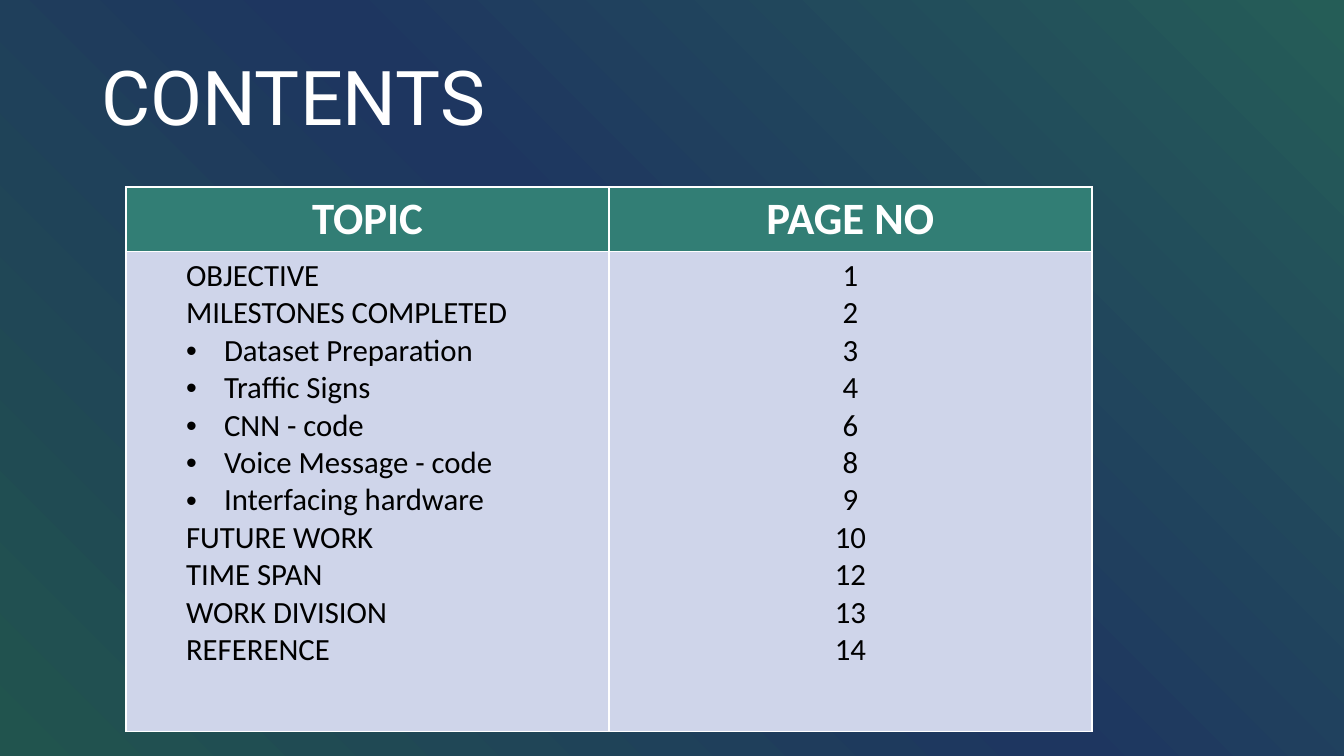
from copy import deepcopy

from lxml.etree import SubElement
from pptx import Presentation
from pptx.dml.color import RGBColor
from pptx.enum.text import MSO_ANCHOR, MSO_AUTO_SIZE, PP_ALIGN
from pptx.oxml.ns import qn
from pptx.util import Emu, Pt

SLIDE_WIDTH, SLIDE_HEIGHT = 1344, 756
EMU_PER_PX = 12192000 / SLIDE_WIDTH

WHITE, BLACK = "FFFFFF", "000000"
HEADER_FILL, BODY_FILL = "327E75", "CFD5EA"
BACKGROUND_STOPS = [(0, "21544E"), (0.51, "1E3660"), (1, "255D57")]

HEADERS = ["TOPIC", "PAGE NO"]
# Topic, page number, bulleted
CONTENTS = [
    ("OBJECTIVE", 1, False),
    ("MILESTONES COMPLETED", 2, False),
    ("Dataset Preparation", 3, True),
    ("Traffic Signs", 4, True),
    ("CNN - code", 6, True),
    ("Voice Message - code", 8, True),
    ("Interfacing hardware", 9, True),
    ("FUTURE WORK", 10, False),
    ("TIME SPAN", 12, False),
    ("WORK DIVISION", 13, False),
    ("REFERENCE", 14, False),
]


def px(length):
    return Emu(round(length * EMU_PER_PX))


def color(hex_string):
    return RGBColor.from_string(hex_string)


def format_paragraph(paragraph, name, size, hex_string, alignment, bold=False):
    font = paragraph.font
    font.name, font.size, font.bold = name, Pt(size), bold
    font.color.rgb = color(hex_string)
    paragraph.alignment = alignment


def set_indent(paragraph, bulleted):
    paragraph.level = 1
    properties = paragraph._p.get_or_add_pPr()
    properties.set("marL", str(px(88 if bulleted else 50)))
    properties.set("indent", str(px(-38 if bulleted else 0)))
    if bulleted:
        bullet_font = properties.makeelement(qn("a:buFont"), {"typeface": "Arial"})
        bullet = properties.makeelement(qn("a:buChar"), {"char": "•"})
        # Bullet settings come before the default run properties
        properties.insert(0, bullet_font)
        properties.insert(1, bullet)


def set_background(slide):
    fill = slide.background.fill
    fill.gradient()
    fill.gradient_angle = 45
    # Add a middle stop to the default two
    stop_list = slide.background._cSld.find(".//" + qn("a:gsLst"))
    stop_list.append(deepcopy(stop_list[0]))
    for stop, (position, hex_string) in zip(fill.gradient_stops, BACKGROUND_STOPS):
        stop.position = position
        stop.color.rgb = color(hex_string)


def add_title(slide, text):
    title = slide.shapes.title
    title.left, title.top, title.width, title.height = map(px, (91, 44, 688, 103))
    frame = title.text_frame
    frame.text = text
    frame.auto_size = MSO_AUTO_SIZE.NONE
    frame.vertical_anchor = MSO_ANCHOR.MIDDLE
    format_paragraph(frame.paragraphs[0], "Roboto", 54, WHITE, PP_ALIGN.LEFT)


def fill_cell(cell, lines, fill, size, hex_string, alignment, bold=False):
    cell.fill.solid()
    cell.fill.fore_color.rgb = color(fill)
    cell.text = "\n".join(lines)
    for paragraph in cell.text_frame.paragraphs:
        format_paragraph(paragraph, "Calibri", size, hex_string, alignment, bold)


def add_contents_table(slide):
    table = slide.shapes.add_table(2, 2, px(126), px(187), px(966), px(544)).table
    table.rows[0].height, table.rows[1].height = px(64), px(480)

    # Header row
    for column, header in enumerate(HEADERS):
        fill_cell(table.cell(0, column), [header], HEADER_FILL, 32, WHITE,
                  PP_ALIGN.CENTER, bold=True)

    # Topics and their pages
    topics, pages, bulleted = zip(*CONTENTS)
    topic_cell = table.cell(1, 0)
    fill_cell(topic_cell, topics, BODY_FILL, 22, BLACK, PP_ALIGN.JUSTIFY)
    for paragraph, has_bullet in zip(topic_cell.text_frame.paragraphs, bulleted):
        set_indent(paragraph, has_bullet)
    fill_cell(table.cell(1, 1), map(str, pages), BODY_FILL, 22, BLACK,
              PP_ALIGN.CENTER)


def main():
    presentation = Presentation()
    presentation.slide_width = px(SLIDE_WIDTH)
    presentation.slide_height = px(SLIDE_HEIGHT)
    slide = presentation.slides.add_slide(presentation.slide_layouts[5])
    set_background(slide)
    add_title(slide, "CONTENTS")
    add_contents_table(slide)
    presentation.save("out.pptx")


if __name__ == "__main__":
    main()
